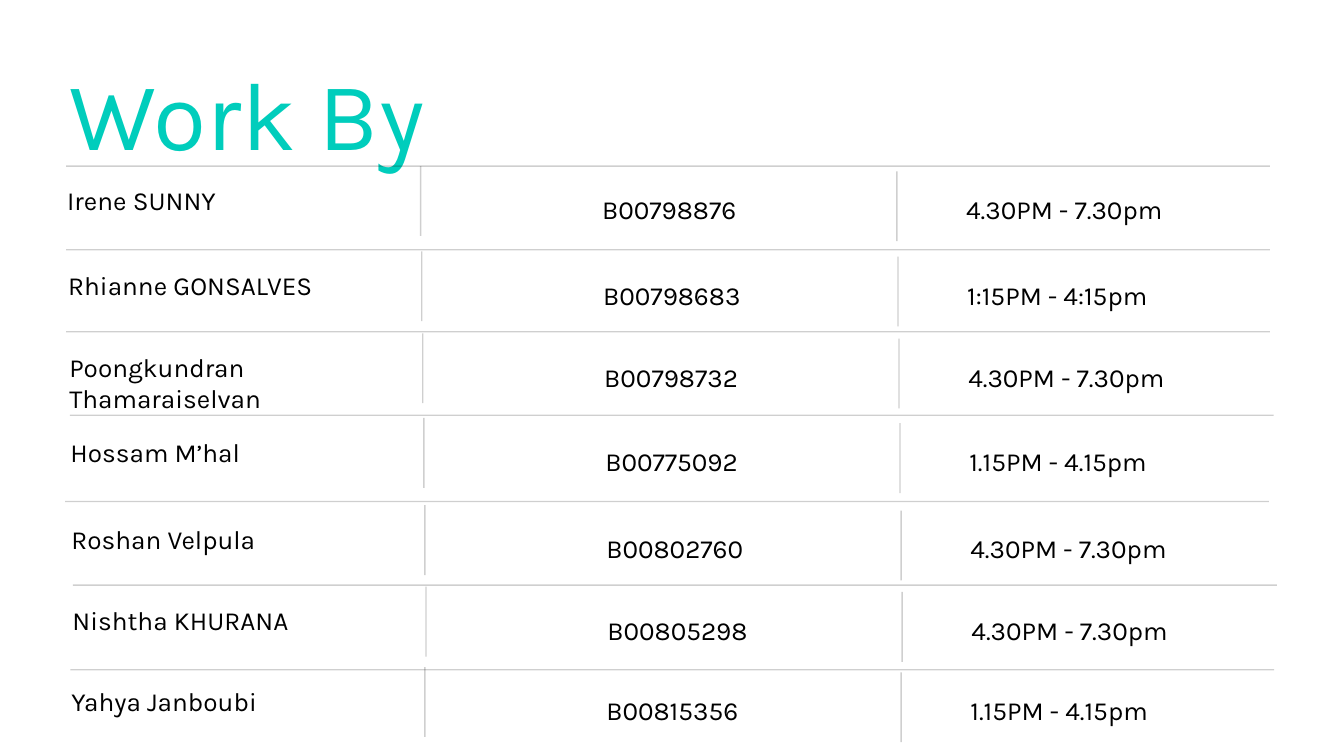
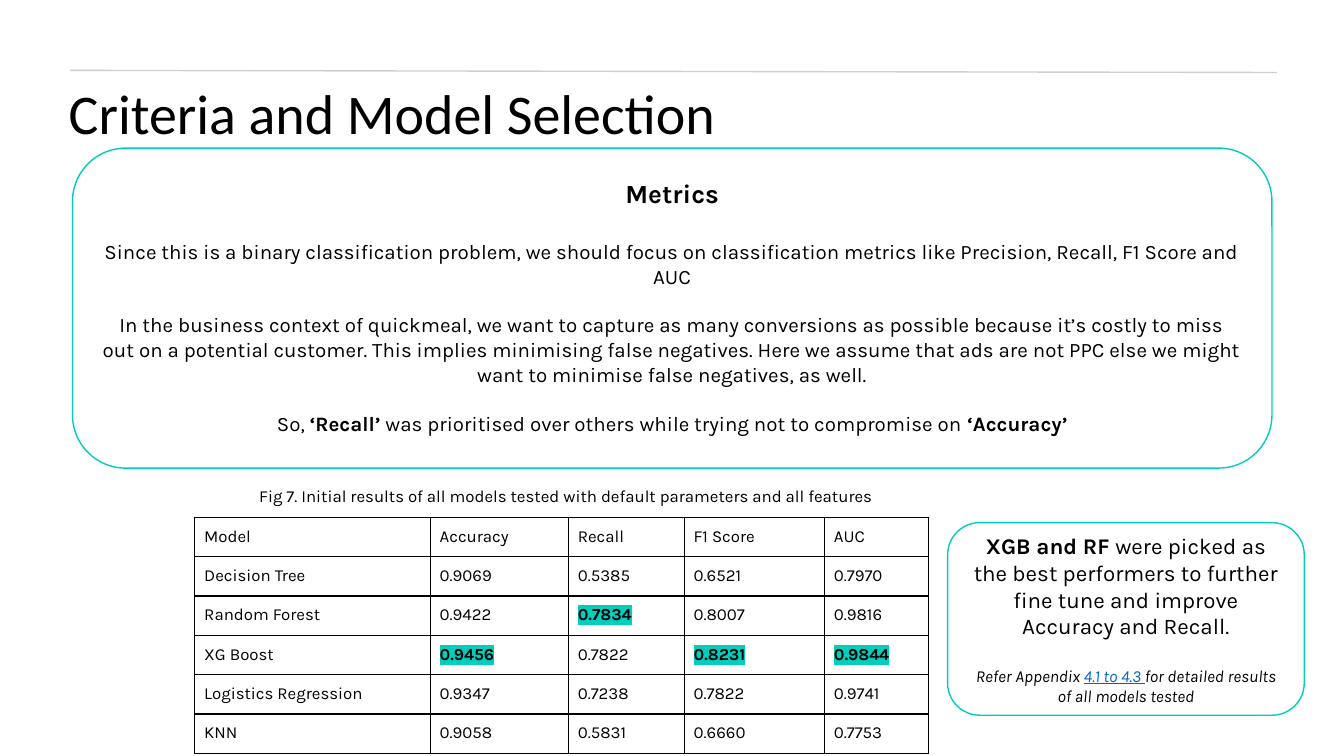
from dataclasses import dataclass
from typing import Any, NamedTuple

from lxml.etree import SubElement
from pptx import Presentation
from pptx.dml.color import RGBColor
from pptx.enum.shapes import MSO_CONNECTOR as Connector, MSO_SHAPE as Preset
from pptx.enum.text import MSO_ANCHOR as Anchor, PP_ALIGN as Align
from pptx.oxml.ns import qn
from pptx.oxml.xmlchemy import OxmlElement
from pptx.util import Cm, Pt

TEAL = RGBColor(0x00, 0xCD, 0xBC)
BLACK = RGBColor(0x00, 0x00, 0x00)
RULE_GREY = RGBColor(0x11, 0x11, 0x11)
LINK_BLUE = RGBColor(0x05, 0x63, 0xC1)
WHITE = RGBColor(0xFF, 0xFF, 0xFF)

BOLD = {"bold": True}
ITALIC = {"italic": True}
THIN = Pt(0.75)


class Run(NamedTuple):
    """A stretch of text with its own font values."""
    text: str
    font: dict[str, Any] = {}
    color: RGBColor = BLACK


class Para(NamedTuple):
    """A paragraph of runs at one size."""
    runs: list[Run]
    size: float
    before: float = 0
    spacing: float = 1.0
    align: Align = Align.LEFT
    face: str = "Karla"


class Box(NamedTuple):
    """A place on the slide in centimetres."""
    left: float
    top: float
    width: float
    height: float


@dataclass(frozen=True)
class Member:
    """One row of the team list, with its place and the rule above it."""
    name: str
    code: str
    slot: str
    top: float
    shift: float
    rule_left: float
    rule_top: float


EVENING, AFTERNOON = "4.30PM - 7.30pm", "1.15PM - 4.15pm"
MEMBERS = [
    Member("Irene SUNNY", "B00798876", EVENING, 3.48, 0, 1.25, 3.14),
    Member("Rhianne GONSALVES", "B00798683", "1:15PM - 4:15pm", 5.09, 0.02, 1.25, 4.72),
    Member("Poongkundran Thamaraiselvan", "B00798732", EVENING, 6.64, 0.04, 1.25, 6.27),
    Member("Hossam M’hal", "B00775092", AFTERNOON, 8.24, 0.06, 1.32, 7.85),
    Member("Roshan Velpula", "B00802760", EVENING, 9.89, 0.08, 1.23, 9.48),
    Member("Nishtha KHURANA", "B00805298", EVENING, 11.43, 0.1, 1.38, 11.06),
    Member("Yahya Janboubi", "B00815356", AFTERNOON, 12.95, 0.08, 1.33, 12.66),
]

RESULTS = [
    ["Model", "Accuracy", "Recall", "F1 Score", "AUC"],
    ["Decision Tree", "0.9069", "0.5385", "0.6521", "0.7970"],
    ["Random Forest", "0.9422", "0.7834", "0.8007", "0.9816"],
    ["XG Boost", "0.9456", "0.7822", "0.8231", "0.9844"],
    ["Logistics Regression", "0.9347", "0.7238", "0.7822", "0.9741"],
    ["KNN", "0.9058", "0.5831", "0.6660", "0.7753"],
]
RESULT_WIDTHS = [4.45, 2.61, 2.19, 2.65, 1.97]
RESULT_ROW = 0.73

METRICS = [
    Para([Run("Metrics", BOLD)], 14, align=Align.CENTER),
    Para([Run("Since this is a binary classification problem, we should focus on "
              "classification metrics like Precision, Recall, F1 Score and AUC")],
         11, 16.4, align=Align.CENTER),
    Para([Run("In the business context of quickmeal, we want to capture as many "
              "conversions as possible because it’s costly to miss out on a potential "
              "customer. This implies minimising false negatives. Here we assume that "
              "ads are not PPC else we might want to minimise false negatives, as well.")],
         11, 13, align=Align.CENTER),
    Para([Run("So, "), Run("‘Recall’", BOLD),
          Run(" was prioritised over others while trying not to compromise on "),
          Run("‘Accuracy’", BOLD)], 11, 13, align=Align.CENTER),
]
PICKED = [
    Para([Run("XGB and RF ", BOLD),
          Run("were picked as the best performers to further fine tune and improve "
              "Accuracy and Recall.")], 12, align=Align.CENTER),
    Para([Run("Refer Appendix ", ITALIC),
          Run("4.1 to 4.3 ", ITALIC | {"underline": True}, LINK_BLUE),
          Run("for detailed results of all models tested", ITALIC)],
         9, 14, align=Align.CENTER),
]


def assign(target: Any, values: dict[str, Any]) -> None:
    """Set every given attribute on the target."""
    for key, value in values.items():
        setattr(target, key, value)


def margins(size: float) -> dict[str, Any]:
    """Give equal margins on all four sides."""
    return {f"margin_{side}": Cm(size) for side in ("left", "top", "right", "bottom")}


def write(frame: Any, paras: list[Para]) -> None:
    """Fill a text frame with paragraphs."""
    for index, para in enumerate(paras):
        line = frame.add_paragraph() if index else frame.paragraphs[0]
        assign(line, {"alignment": para.align, "line_spacing": para.spacing})
        if index:
            line.space_before = Pt(para.before)
        for part in para.runs:
            run = line.add_run()
            run.text = part.text
            assign(run.font, {"name": para.face, "size": Pt(para.size)} | part.font)
            run.font.color.rgb = part.color


def add_text(slide: Any, box: Box, para: Para, inset: float = 0) -> None:
    """Add a wrapping text box."""
    frame = slide.shapes.add_textbox(*map(Cm, box)).text_frame
    assign(frame, {"word_wrap": True, "vertical_anchor": Anchor.TOP} | margins(inset))
    write(frame, [para])


def add_rule(slide: Any, x1: float, y1: float, x2: float, y2: float) -> None:
    """Add a thin translucent line."""
    rule = slide.shapes.add_connector(Connector.STRAIGHT, *map(Cm, (x1, y1, x2, y2)))
    rule.line.width = THIN
    rule.line.color.rgb = RULE_GREY
    tint = rule.line._get_or_add_ln().find(f".//{qn('a:srgbClr')}")
    SubElement(tint, qn("a:alpha")).set("val", "20000")
    SubElement(rule._element.spPr, qn("a:effectLst"))


def add_panel(slide: Any, box: Box, paras: list[Para], anchor: Anchor) -> None:
    """Add a rounded teal outline holding text."""
    panel = slide.shapes.add_shape(Preset.ROUNDED_RECTANGLE, *map(Cm, box))
    panel.shadow.inherit = False
    panel.fill.background()
    panel.line.color.rgb = TEAL
    panel.line.width = THIN
    assign(panel.text_frame,
           {"word_wrap": True, "vertical_anchor": anchor} | margins(0.25))
    write(panel.text_frame, paras)


def highlight(cell: Any) -> None:
    """Mark the text of a cell in teal."""
    mark = OxmlElement("a:highlight")
    SubElement(mark, qn("a:srgbClr")).set("val", str(TEAL))
    props = cell.text_frame.paragraphs[0].runs[0].font._element
    props.find(qn("a:latin")).addprevious(mark)


def add_borders(cell: Any) -> None:
    """Draw thin black borders round a cell."""
    props = cell._tc.get_or_add_tcPr()
    for index, side in enumerate(("lnL", "lnR", "lnT", "lnB")):
        edge = OxmlElement(f"a:{side}")
        edge.set("w", str(THIN))
        fill = SubElement(edge, qn("a:solidFill"))
        SubElement(fill, qn("a:srgbClr")).set("val", str(BLACK))
        props.insert(index, edge)


def add_results(slide: Any, left: float, top: float) -> None:
    """Add the table of scores with the best of each column marked."""
    box = Box(left, top, sum(RESULT_WIDTHS), RESULT_ROW * len(RESULTS))
    table = slide.shapes.add_table(
        len(RESULTS), len(RESULT_WIDTHS), *map(Cm, box)).table
    assign(table, {"first_row": False, "horz_banding": False})
    for column, width in zip(table.columns, RESULT_WIDTHS):
        column.width = Cm(width)
    best = [max(scores) for scores in zip(*RESULTS[1:])]
    for r, values in enumerate(RESULTS):
        table.rows[r].height = Cm(RESULT_ROW)
        for c, value in enumerate(values):
            cell = table.cell(r, c)
            assign(cell, margins(0.18))
            cell.fill.background()
            is_best = r > 0 and c > 0 and value == best[c]
            write(cell.text_frame, [Para([Run(value, {"bold": is_best})], 9)])
            if is_best:
                highlight(cell)
            add_borders(cell)


def add_member(slide: Any, member: Member) -> None:
    """Draw one row of the team list."""
    add_rule(slide, member.rule_left, member.rule_top,
             member.rule_left + 22.75, member.rule_top)
    for left, rise in ((7.95, 0.34), (16.95, 0.24)):
        x, y = left + member.shift, member.top - rise
        add_rule(slide, x, y, x, y + 1.32)
    for text, left, width, height, spacing in (
            (member.name, 1.27, 5.08, 0.86, 1.0),
            (member.code, 11.38, 3.33, 0.66, 1.31),
            (member.slot, 18.26, 6.22, 0.66, 1.31)):
        add_text(slide, Box(left + member.shift, member.top, width, height),
                 Para([Run(text)], 14, spacing=spacing))


def new_slide(deck: Any) -> Any:
    """Add a blank white slide."""
    slide = deck.slides.add_slide(deck.slide_layouts[6])
    slide.background.fill.solid()
    slide.background.fill.fore_color.rgb = WHITE
    return slide


def build_team(deck: Any) -> None:
    """Build the slide that lists the authors."""
    slide = new_slide(deck)
    add_text(slide, Box(1.32, 0.79, 22.86, 3.35),
             Para([Run("Work By", color=TEAL)], 52, spacing=1.1))
    for member in MEMBERS:
        add_member(slide, member)


def build_selection(deck: Any) -> None:
    """Build the slide on metrics and chosen models."""
    slide = new_slide(deck)
    add_panel(slide, Box(1.37, 2.8, 22.67, 6.05), METRICS, Anchor.TOP)
    add_rule(slide, 1.32, 1.33, 24.13, 1.37)
    add_text(slide, Box(1.3, 1.35, 15.24, 1.17),
             Para([Run("Criteria and Model Selection")], 30, spacing=1.1, face="Calibri"))
    add_results(slide, 3.68, 9.78)
    add_text(slide, Box(4.65, 8.99, 14.3, 0.89),
             Para([Run("Fig 7. Initial results of all models tested with default "
                       "parameters and all features")], 9), 0.25)
    add_panel(slide, Box(17.91, 9.88, 6.74, 3.64), PICKED, Anchor.MIDDLE)


def main() -> None:
    """Build and save the presentation."""
    deck = Presentation()
    assign(deck, {"slide_width": Cm(25.4), "slide_height": Cm(14.29)})
    build_team(deck)
    build_selection(deck)
    deck.save("out.pptx")


if __name__ == "__main__":
    main()
